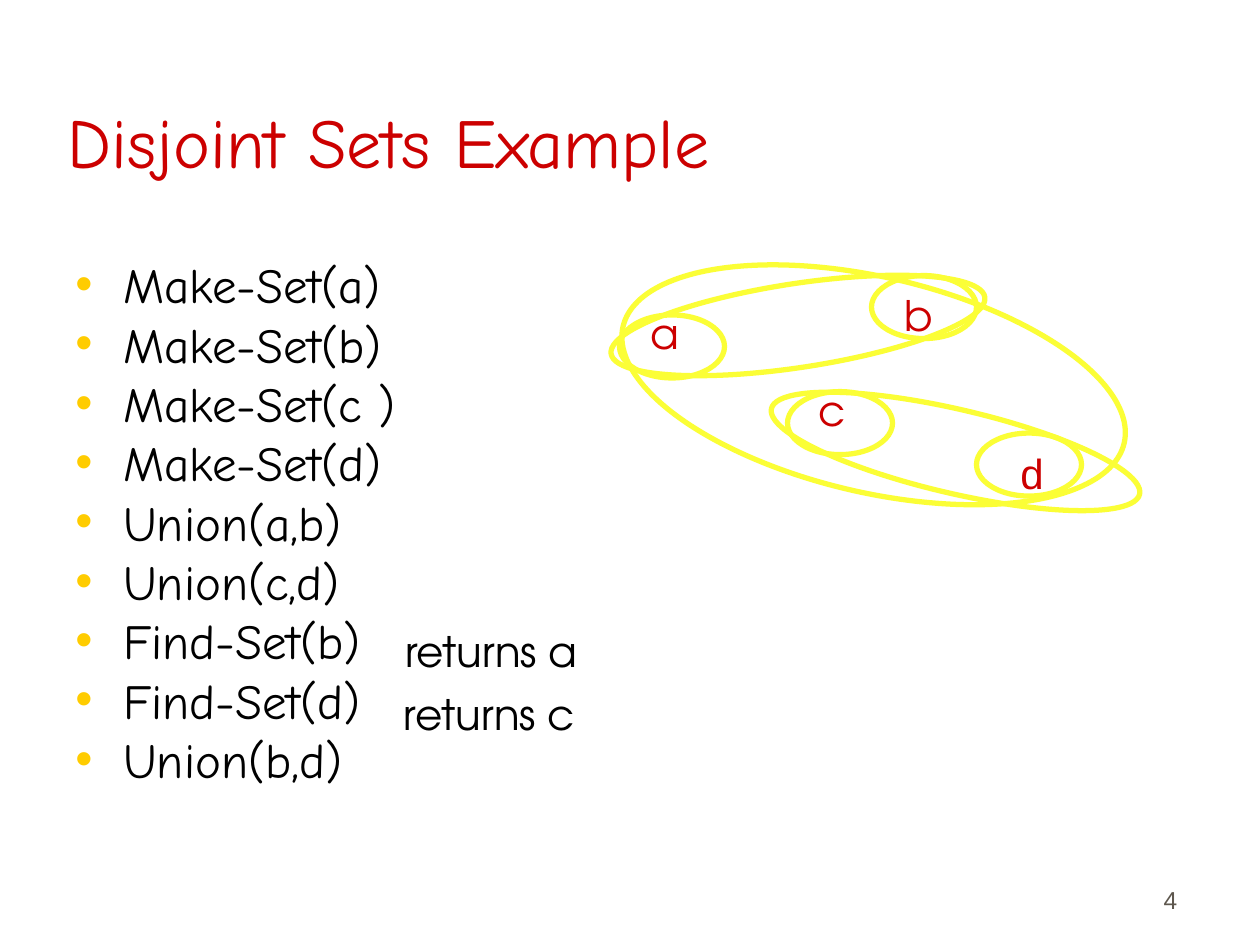
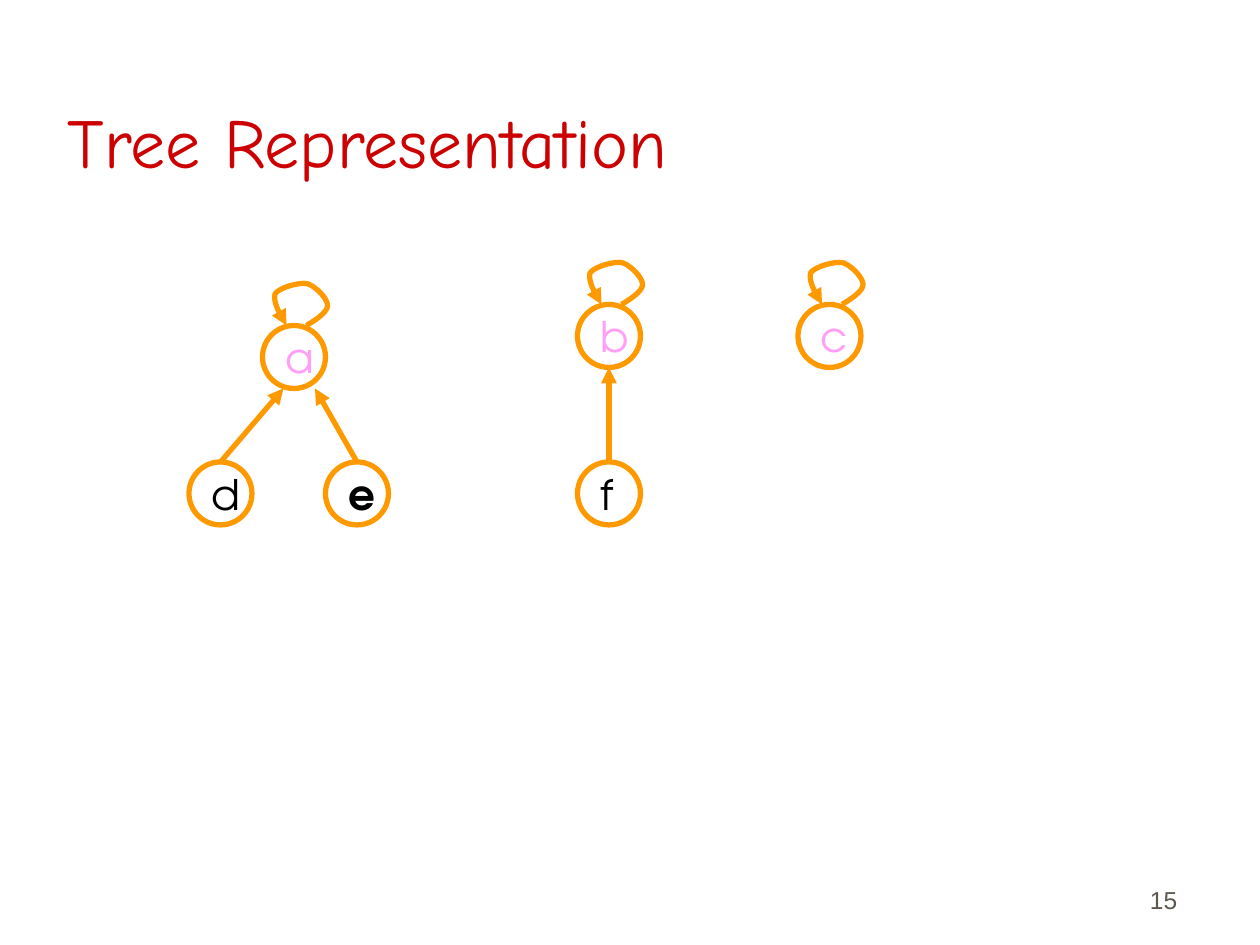
from pptx import Presentation
from pptx.dml.color import RGBColor as Rgb
from pptx.enum.shapes import MSO_CONNECTOR as Link, MSO_SHAPE as Shape
from pptx.enum.text import MSO_ANCHOR as Anchor, MSO_AUTO_SIZE as Fit, PP_ALIGN as Align
from pptx.oxml.ns import qn
from pptx.util import Inches, Pt
from lxml.etree import SubElement as Sub

HUES = {"title": "CC0000", "text": "000000", "dot": "FFCC00", "page": "5E574E",
        "set": "FBFE36", "tree": "FF9900", "root": "FF9FF8"}
HAND, ROUND, PLAIN = "Comic Neue", "TeX Gyre Adventor", "Arial"

CALLS = ["Make-Set(a)", "Make-Set(b)", "Make-Set(c )", "Make-Set(d)", "Union(a,b)",
         "Union(c,d)", "Find-Set(b)", "Find-Set(d)", "Union(b,d)"]
RETURNS = [("returns a", 37.4, 59, 19.6), ("returns c", 37.3, 65, 19.2)]
ITEMS = [("b", 85, 27, 4.8, ROUND), ("a", 60.8, 28.7, 4.6, ROUND),
         ("c", 76.8, 36, 4.3, ROUND), ("d", 96, 42, 4.6, PLAIN)]
SINGLES = [(83, 26.25), (59, 30), (75, 37.3), (93, 41.25)]
UNIONS = [(58, 27, 36, 8, -8.6), (73, 39, 36, 8, 13.1), (58.7, 26.4, 49, 20.5, 13.1)]

ROOTS = [("a", 25, 31, 4.6), ("b", 55, 29, 4.8), ("c", 76, 29, 4.3)]
LEAVES = [("d", 18, 44, 4.8, (27, 37)), ("e", 31, 44, 4.7, (30, 37)),
          ("f", 55, 44, 3.7, (58, 35))]
BOLD = "e"
NODE = 6
LOOP = [(4.2, 0), (5.2, -0.6), (6.2, -1.3), (6.2, -1.9), (6.2, -2.6), (5, -3.8), (4.2, -4),
        (3.4, -4.1), (1.6, -3.6), (1.2, -3), (1, -2.3), (1.6, -1.1), (2.3, 0)]
STEPS = 10

deck = Presentation()
deck.slide_width, deck.slide_height = Inches(10), Inches(7.5)
CELL = deck.slide_width / 120


def grid(*cells):
    return [round(n * CELL) for n in cells]


def style(frame, font, size, hue, bold=False):
    for para in frame.paragraphs:
        for run in para.runs:
            run.font.name, run.font.size, run.font.bold = font, Pt(size), bold
            run.font.color.rgb = Rgb.from_string(HUES[hue])


def label(slide, text, x, y, wide, hue="text", font=ROUND, bold=False):
    frame = slide.shapes.add_textbox(*grid(x, y, wide, 6)).text_frame
    frame.text, frame.word_wrap, frame.auto_size = text, False, Fit.SHAPE_TO_FIT_TEXT
    style(frame, font, 24, hue, bold)


def stroke(shape, hue, head=False):
    shape.line.color.rgb = Rgb.from_string(HUES[hue])
    shape.line.width = Pt(3)
    if head:
        Sub(shape.line._get_or_add_ln(), qn("a:tailEnd"), type="triangle")


def oval(slide, x, y, wide, high, hue, turn=0):
    ring = slide.shapes.add_shape(Shape.OVAL, *grid(x, y, wide, high))
    ring.fill.background()
    ring.shadow.inherit = False
    ring.rotation = turn
    stroke(ring, hue)
    return ring


def page(title, num):
    slide = deck.slides.add_slide(deck.slide_layouts[5])
    head = slide.shapes.title
    head.left, head.top, head.width, head.height = grid(5.25, 3, 102, 15)
    frame = head.text_frame
    frame.text, frame.vertical_anchor, frame.auto_size = title, Anchor.BOTTOM, Fit.NONE
    frame.paragraphs[0].alignment = Align.LEFT
    style(frame, HAND, 40, "title")
    foot = slide.shapes.add_textbox(*grid(88.3, 81.7, 25, 6)).text_frame
    foot.text, foot.word_wrap, foot.vertical_anchor = str(num), True, Anchor.BOTTOM
    foot.paragraphs[0].alignment = Align.RIGHT
    style(foot, PLAIN, 14, "page")
    return slide


def bullets(slide):
    frame = slide.shapes.add_textbox(*grid(6, 24.75, 37, 54.75)).text_frame
    frame.text, frame.word_wrap = "\n".join(CALLS), True
    for para in frame.paragraphs:
        para.line_spacing, para.space_before = 0.8, Pt(7)
        props = para._p.get_or_add_pPr()
        props.set("marL", str(Inches(0.38)))
        props.set("indent", str(-Inches(0.38)))
        Sub(Sub(props, qn("a:buClr")), qn("a:srgbClr"), val=HUES["dot"])
        Sub(props, qn("a:buFont"), typeface=PLAIN)
        Sub(props, qn("a:buChar"), char="•")
    style(frame, HAND, 28, "text")


def curve(pts):
    for i in range(0, len(pts) - 1, 3):
        for t in [k / STEPS for k in range(1, STEPS + 1)]:
            mix = [(1 - t) ** 3, 3 * t * (1 - t) ** 2, 3 * t * t * (1 - t), t ** 3]
            yield [sum(m * p[axis] for m, p in zip(mix, pts[i:i + 4])) for axis in (0, 1)]


def loop(slide, x, y):
    pts = [(x + dx, y + dy) for dx, dy in LOOP]
    pen = slide.shapes.build_freeform(*grid(*pts[0]))
    pen.add_line_segments([grid(*pt) for pt in curve(pts)], close=False)
    arc = pen.convert_to_shape()
    arc.fill.background()
    arc.shadow.inherit = False
    stroke(arc, "tree", True)


def node(slide, text, x, y, wide, hue):
    ring = oval(slide, x, y, NODE, NODE, "tree")
    label(slide, text, x + 1, y, wide, hue, bold=text == BOLD)
    return ring


def sets():
    slide = page("Disjoint Sets Example", 4)
    bullets(slide)
    for text, x, y, wide, font in ITEMS:
        label(slide, text, x, y, wide, "title", font)
    for x, y in SINGLES:
        oval(slide, x, y, 10, 6, "set")
    for x, y, wide, high, turn in UNIONS:
        oval(slide, x, y, wide, high, "set", turn)
    for note in RETURNS:
        label(slide, *note)


def trees():
    slide = page("Tree Representation", 15)
    for root in ROOTS:
        node(slide, *root, "root")
        loop(slide, *root[1:3])
    for text, x, y, wide, tip in LEAVES:
        leaf = node(slide, text, x, y, wide, "text")
        link = slide.shapes.add_connector(Link.STRAIGHT, *grid(x + NODE / 2, y, *tip))
        link.begin_connect(leaf, 0)
        stroke(link, "tree", True)
        Sub(link._element.spPr, qn("a:effectLst"))


if __name__ == "__main__":
    sets()
    trees()
    deck.save("out.pptx")
